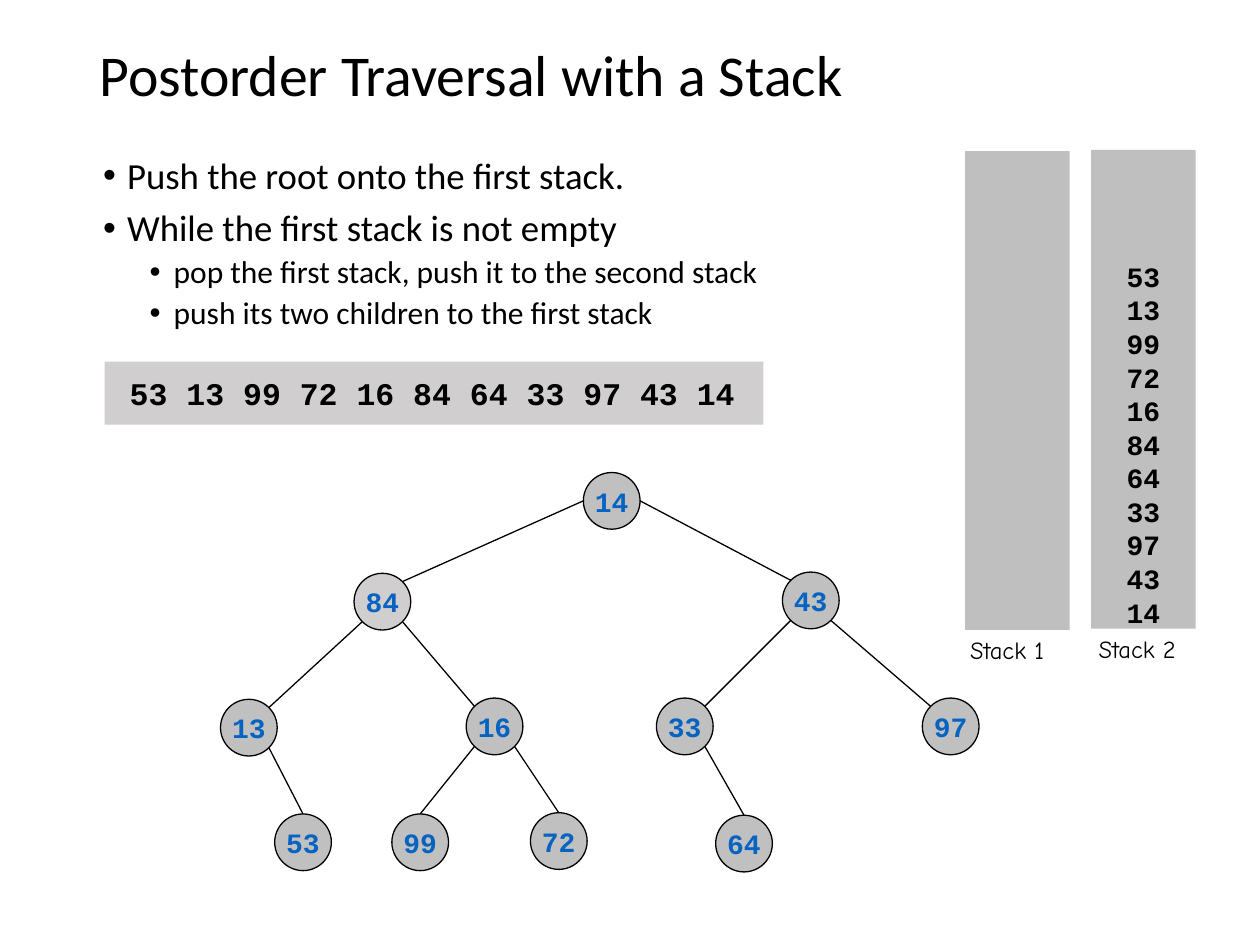
from dataclasses import dataclass
from math import sqrt

from lxml.etree import SubElement
from pptx import Presentation
from pptx.dml.color import RGBColor
from pptx.enum.shapes import MSO_CONNECTOR, MSO_SHAPE
from pptx.enum.text import MSO_ANCHOR, MSO_AUTO_SIZE, PP_ALIGN
from pptx.oxml.ns import qn
from pptx.util import Inches, Pt


@dataclass(frozen=True)
class Theme:
    """Colours, fonts and type sizes of the deck."""
    ink: str = "000000"
    key: str = "0563C1"
    node: str = "C0C0C0"
    pale: str = "D0CECE"
    stack: str = "BFBFBF"
    sans: str = "Calibri"
    mono: str = "Courier New"
    hand: str = "Comic Neue"
    title: float = 33
    body: float = 21
    detail: float = 18
    value: float = 16
    label: float = 14
    hairline: float = 0.75


class TreeSlide:
    """Draws the elements of a tree traversal page in one style."""

    def __init__(self, page, theme):
        """Keep the page and its theme."""
        self.page = page
        self.theme = theme

    def span(self, para, text, size, font, color=None, bold=False):
        """Add one styled run to a paragraph."""
        span = para.add_run()
        span.text = text
        span.font.size = Pt(size)
        span.font.name = font
        span.font.bold = bold
        span.font.color.rgb = RGBColor.from_string(color or self.theme.ink)

    def text_box(self, left, top, width, height, anchor=MSO_ANCHOR.TOP, wrap=True):
        """Add an empty text box and return its frame."""
        box = self.page.shapes.add_textbox(
            Inches(left), Inches(top), Inches(width), Inches(height))
        frame = box.text_frame
        frame.word_wrap = wrap
        frame.vertical_anchor = anchor
        return frame

    def filled(self, preset, left, top, width, height, fill, outlined=False):
        """Add a flat preset shape."""
        shape = self.page.shapes.add_shape(
            preset, Inches(left), Inches(top), Inches(width), Inches(height))
        shape.shadow.inherit = False
        shape.fill.solid()
        shape.fill.fore_color.rgb = RGBColor.from_string(fill)
        if outlined:
            shape.line.color.rgb = RGBColor.from_string(self.theme.ink)
            shape.line.width = Pt(self.theme.hairline)
        else:
            shape.line.fill.background()
        return shape

    def title(self, text):
        """Add the page title."""
        para = self.text_box(0.69, -0.11, 8.62, 1.45, MSO_ANCHOR.MIDDLE).paragraphs[0]
        para.line_spacing = 0.9
        self.span(para, text, self.theme.title, self.theme.sans)

    def bullets(self, items):
        """Add a two-level bullet list from (level, text) pairs."""
        frame = self.text_box(0.72, 1.2, 8.62, 4.76)
        styles = ((self.theme.body, 7.5, 0.19), (self.theme.detail, 3.8, 0.56))
        for index, (level, text) in enumerate(items):
            para = frame.add_paragraph() if index else frame.paragraphs[0]
            size, before, margin = styles[level]
            para.level = level
            para.line_spacing = 0.9
            para.space_before = Pt(before)
            properties = para._p.get_or_add_pPr()
            properties.set("marL", str(Inches(margin)))
            properties.set("indent", str(Inches(-0.19)))
            SubElement(properties, qn("a:buFont"), typeface="Arial")
            SubElement(properties, qn("a:buChar"), char="•")
            self.span(para, text, size, self.theme.sans)

    def output_bar(self, text):
        """Add the bar that lists the visited values."""
        bar = self.filled(MSO_SHAPE.RECTANGLE, 0.83, 2.87, 5.23, 0.5, self.theme.pale)
        frame = bar.text_frame
        frame.word_wrap = False
        frame.margin_left = frame.margin_right = Inches(0.2)
        frame.margin_top = frame.margin_bottom = Inches(0.1)
        frame.paragraphs[0].alignment = PP_ALIGN.LEFT
        self.span(frame.paragraphs[0], text, self.theme.detail, self.theme.mono, bold=True)

    def stack(self, left, top, values=()):
        """Add a stack column with its values resting on the bottom."""
        column = self.filled(MSO_SHAPE.RECTANGLE, left, top, 0.83, 3.8, self.theme.stack)
        frame = column.text_frame
        frame.word_wrap = False
        frame.vertical_anchor = MSO_ANCHOR.BOTTOM
        frame.margin_bottom = 0
        for index, value in enumerate(values):
            para = frame.add_paragraph() if index else frame.paragraphs[0]
            para.alignment = PP_ALIGN.CENTER
            self.span(para, value, self.theme.value, self.theme.mono, bold=True)

    def stack_label(self, left, top, width, text):
        """Add the handwritten name under a stack."""
        frame = self.text_box(left, top, width, 0.34, wrap=False)
        frame.auto_size = MSO_AUTO_SIZE.SHAPE_TO_FIT_TEXT
        self.span(frame.paragraphs[0], text, self.theme.label, self.theme.hand)

    def node(self, value, left, top, size, fill):
        """Add a round tree node."""
        circle = self.filled(MSO_SHAPE.OVAL, left, top, size, size, fill, outlined=True)
        frame = circle.text_frame
        frame.word_wrap = False
        frame.paragraphs[0].alignment = PP_ALIGN.CENTER
        self.span(frame.paragraphs[0], value, self.theme.value, self.theme.mono,
                  self.theme.key, bold=True)
        return circle

    def edge(self, start, end, child=None):
        """Add a tree edge, joined to the top of the child if given."""
        line = self.page.shapes.add_connector(
            MSO_CONNECTOR.STRAIGHT, *(Inches(value) for value in (*start, *end)))
        line.line.color.rgb = RGBColor.from_string(self.theme.ink)
        line.line.width = Pt(self.theme.hairline)
        SubElement(line._element.spPr, qn("a:effectLst"))
        if child is not None:
            line.end_connect(child, 0)

    def tree(self, places, children, root, size=0.45):
        """Add all nodes and the edges between them."""
        circles = {
            value: self.node(value, left, top, size,
                             self.theme.pale if value == "84" else self.theme.node)
            for value, (left, top) in places.items()}
        radius = size / 2
        diagonal = radius / sqrt(2)
        centers = {value: (left + radius, top + radius)
                   for value, (left, top) in places.items()}
        lowest_row = 6.4
        for parent, offspring in children.items():
            x, y = centers[parent]
            for child in offspring:
                child_x, child_y = centers[child]
                side = 1 if child_x > x else -1
                if parent == root:
                    start = (x + side * radius, y)
                else:
                    start = (x + side * diagonal, y + diagonal)
                end = (child_x - side * diagonal, child_y - diagonal)
                joined = circles[child] if places[child][1] > lowest_row else None
                self.edge(start, end, joined)


def main():
    """Build and save the page."""
    deck = Presentation()
    deck.slide_width, deck.slide_height = Inches(10), Inches(7.5)
    slide = TreeSlide(deck.slides.add_slide(deck.slide_layouts[6]), Theme())
    postorder = "53 13 99 72 16 84 64 33 97 43 14"
    places = {
        "14": (4.63, 3.75), "84": (2.81, 4.55), "43": (6.21, 4.54),
        "13": (1.75, 5.55), "16": (3.7, 5.54), "33": (5.21, 5.54), "97": (7.32, 5.54),
        "64": (5.68, 6.47), "99": (3.11, 6.46), "72": (4.21, 6.45), "53": (2.18, 6.46)}
    children = {"14": ("84", "43"), "84": ("13", "16"), "16": ("99", "72"),
                "13": ("53",), "43": ("33", "97"), "33": ("64",)}
    slide.tree(places, children, root="14")
    slide.output_bar(postorder)
    slide.bullets((
        (0, "Push the root onto the first stack."),
        (0, "While the first stack is not empty"),
        (1, "pop the first stack, push it to the second stack"),
        (1, "push its two children to the first stack")))
    slide.title("Postorder Traversal with a Stack")
    slide.stack(7.66, 1.2)
    slide.stack_label(7.6, 4.99, 0.89, "Stack 1")
    slide.stack_label(8.62, 4.98, 0.92, "Stack 2")
    slide.stack(8.66, 1.19, postorder.split())
    deck.save("out.pptx")


if __name__ == "__main__":
    main()
